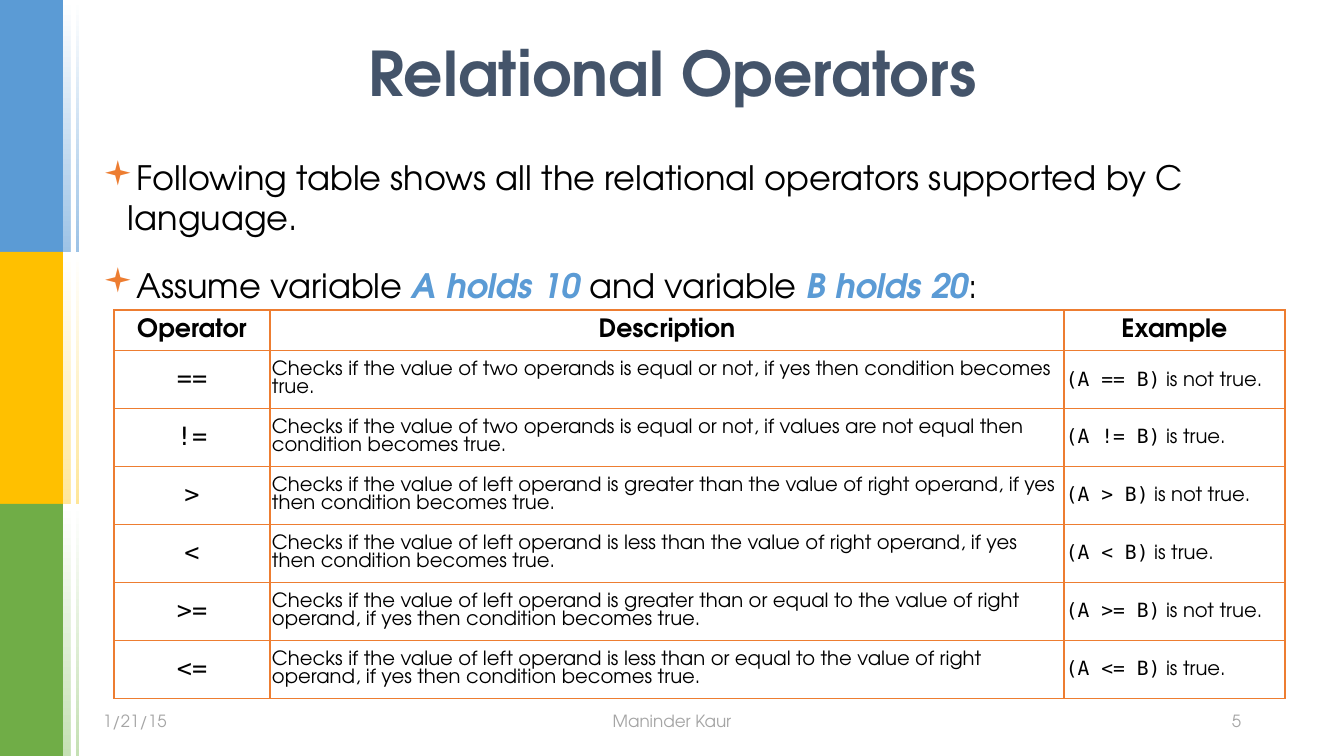
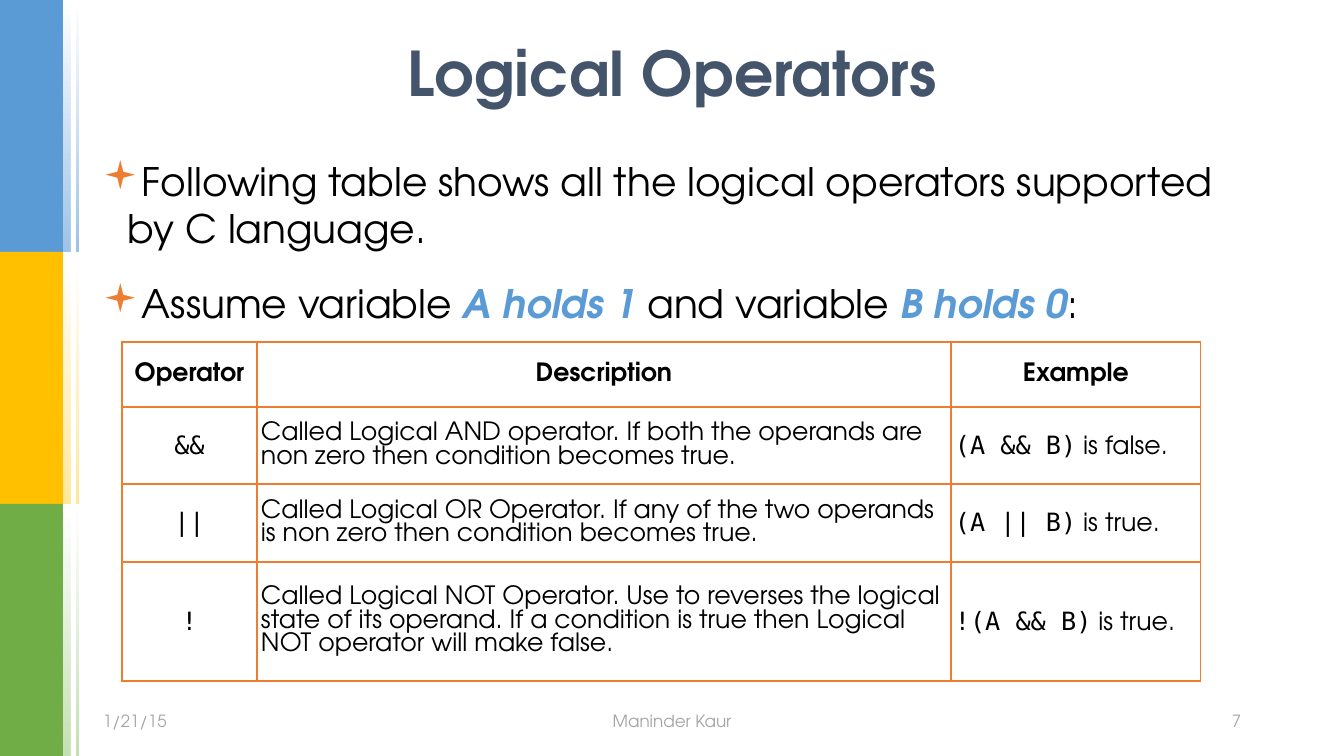
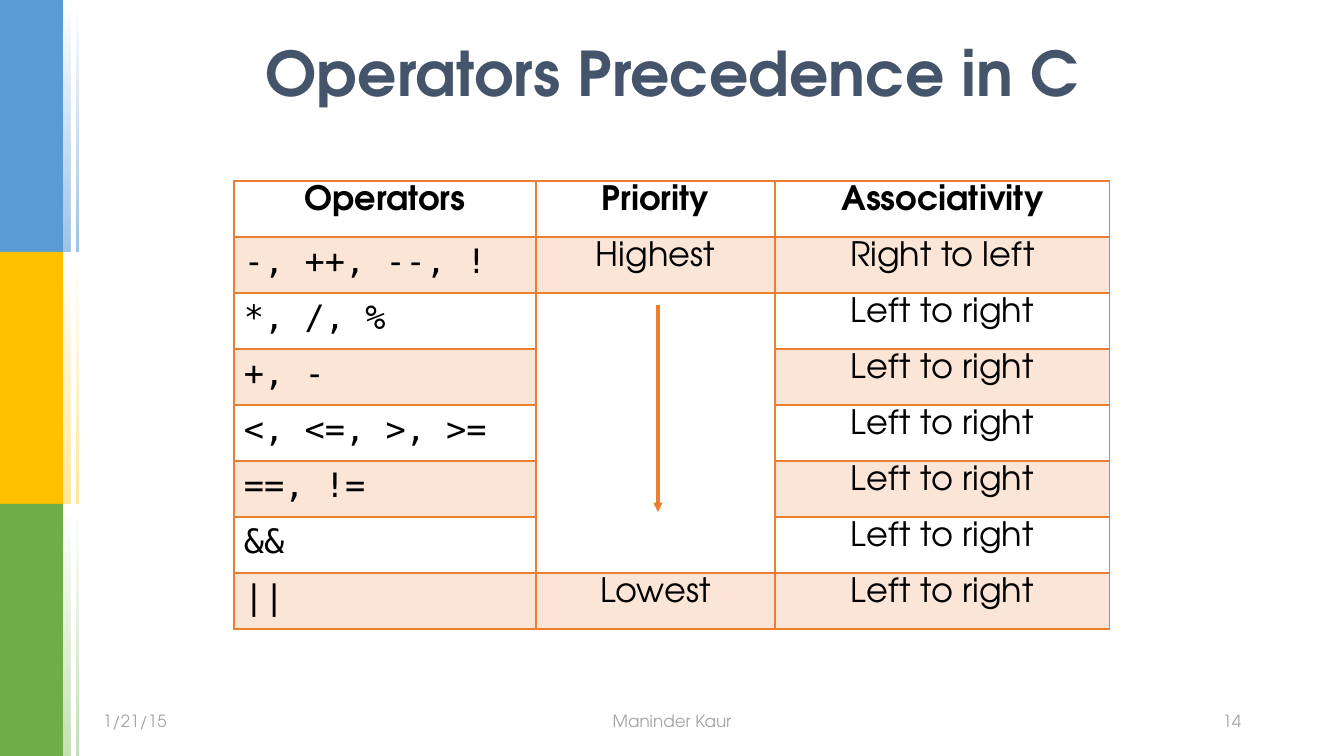
from lxml import etree
from pptx import Presentation
from pptx.dml.color import RGBColor
from pptx.enum.shapes import MSO_CONNECTOR, MSO_SHAPE
from pptx.enum.text import MSO_ANCHOR, PP_ALIGN
from pptx.oxml import parse_xml
from pptx.oxml.ns import nsdecls, qn
from pptx.util import Pt

LEFT, CENTER, RIGHT = PP_ALIGN.LEFT, PP_ALIGN.CENTER, PP_ALIGN.RIGHT
TOP, MIDDLE = MSO_ANCHOR.TOP, MSO_ANCHOR.MIDDLE
RECTANGLE, STRAIGHT = MSO_SHAPE.RECTANGLE, MSO_CONNECTOR.STRAIGHT

PX = 914400 / 100.8
SANS, MONO = "TeX Gyre Adventor", "DejaVu Sans Mono"
BLACK, WHITE, BLUE, ORANGE = "000000", "FFFFFF", "5B9BD5", "ED7D31"
SLATE, GRAY, PEACH = "44546A", "A5A5A5", "FBE5D6"
BANDS = [(BLUE, "9DC3E6"), ("FFC000", "FFE699"), ("70AD47", "C5E0B4")]
TITLE_BOX = (93, 17, 1159, 110)
BODY_BOX = (93, 152, 1159, 529)
STRONG = {"bold": True, "italic": True, "color": BLUE}

PAGES = [
    {
        "title": "Relational Operators", "number": "5",
        "body_size": 24, "space_before": 7.2,
        "body": [
            [("Following table shows all the relational operators supported by C language.", {})],
            [("Assume variable ", {}), ("A holds 10", STRONG), (" and variable ", {}),
             ("B holds 20", STRONG), (":", {})],
        ],
        "at": (114, 310), "columns": [156, 794, 221], "rows": [39] + [58] * 6,
        "kinds": ["code", "text", "example"], "aligns": [CENTER, LEFT, LEFT],
        "sizes": [18, 14, 14], "header_size": 18, "inset": 2, "anchor": MIDDLE,
        "cells": [
            ("Operator", "Description", "Example"),
            ("==", "Checks if the value of two operands is equal or not, if yes then condition becomes true.",
             "(A == B) is not true."),
            ("!=", "Checks if the value of two operands is equal or not, if values are not equal then condition becomes true.",
             "(A != B) is true."),
            (">", "Checks if the value of left operand is greater than the value of right operand, if yes then condition becomes true.",
             "(A > B) is not true."),
            ("<", "Checks if the value of left operand is less than the value of right operand, if yes then condition becomes true.",
             "(A < B) is true."),
            (">=", "Checks if the value of left operand is greater than or equal to the value of right operand, if yes then condition becomes true.",
             "(A >= B) is not true."),
            ("<=", "Checks if the value of left operand is less than or equal to the value of right operand, if yes then condition becomes true.",
             "(A <= B) is true."),
        ],
    },
    {
        "title": "Logical Operators", "number": "7",
        "body_size": 28, "space_before": 8.4,
        "body": [
            [("Following table shows all the logical operators supported by C language.", {})],
            [("Assume variable ", {}), ("A holds 1", STRONG), (" and variable ", {}),
             ("B holds 0", STRONG), (":", {})],
        ],
        "at": (122, 342), "columns": [135, 694, 250], "rows": [65, 77, 78, 119],
        "kinds": ["code", "text", "example"], "aligns": [CENTER, LEFT, LEFT],
        "sizes": [18, 18, 18], "header_size": 18, "inset": 4, "anchor": MIDDLE,
        "cells": [
            ("Operator", "Description", "Example"),
            ("&&", "Called Logical AND operator. If both the operands are non zero then condition becomes true.",
             "(A && B) is false."),
            ("||", "Called Logical OR Operator. If any of the two operands is non zero then condition becomes true.",
             "(A || B) is true."),
            ("!", "Called Logical NOT Operator. Use to reverses the logical state of its operand. If a condition is true then Logical NOT operator will make false.",
             "!(A && B) is true."),
        ],
    },
    {
        "title": "Operators Precedence in C", "number": "14", "body": [],
        "at": (234, 181), "columns": [302, 239, 335], "rows": [56] * 8,
        "kinds": ["code", "text", "text"], "aligns": [LEFT, CENTER, CENTER],
        "sizes": [24, 24, 24], "header_size": 24, "inset": 10, "anchor": TOP,
        "banded": True, "merge": ((2, 1), (6, 1)), "arrow": (658, 305, 658, 512),
        "cells": [
            ("Operators", "Priority", "Associativity"),
            ("-, ++, --, !", "Highest", "Right to left"),
            ("*, /, %", "", "Left to right"),
            ("+, -", "", "Left to right"),
            ("<, <=, >, >=", "", "Left to right"),
            ("==, !=", "", "Left to right"),
            ("&&", "", "Left to right"),
            ("||", "Lowest", "Left to right"),
        ],
    },
]


def rgb(code):
    return RGBColor.from_string(code)


def write(para, spans, size, align=LEFT):
    """Fill a paragraph with (text, format) spans."""
    para.alignment = align
    for text, changes in spans:
        span = para.add_run()
        span.text = text
        looks = {"name": SANS, "size": Pt(size), "bold": False, "italic": False,
                 "color": BLACK, **changes}
        span.font.color.rgb = rgb(looks.pop("color"))
        for name, value in looks.items():
            setattr(span.font, name, value)


deck = Presentation()
deck.slide_width, deck.slide_height = round(1344 * PX), round(756 * PX)

for content in PAGES:
    page = deck.slides.add_slide(deck.slide_layouts[5])
    shapes = page.shapes

    # Side bands: three solid, three fading, one white strip
    bars = []
    for index, (solid, pale) in enumerate(BANDS):
        bars.append((0, index * 252, 63, 252, solid, False))
        bars.append((63, index * 252, 16, 252, pale, True))
    bars.append((71, 0, 5, 756, WHITE, False))
    for *place, color, fades in bars:
        bar = shapes.add_shape(RECTANGLE, *[round(n * PX) for n in place])
        bar.shadow.inherit = False
        bar.line.fill.background()
        if fades:
            bar.fill.gradient()
            bar.fill.gradient_angle = 90
            for position, (stop, shade) in enumerate(zip(bar.fill.gradient_stops, (color, WHITE))):
                stop.color.rgb = rgb(shade)
                stop.position = position
        else:
            bar.fill.solid()
            bar.fill.fore_color.rgb = rgb(color)

    # Title
    title = shapes.title
    title.left, title.top, title.width, title.height = [round(n * PX) for n in TITLE_BOX]
    title.text_frame.word_wrap = True
    title.text_frame.vertical_anchor = MIDDLE
    write(title.text_frame.paragraphs[0], [(content["title"], {"bold": True, "color": SLATE})],
          44, CENTER)

    # Footer
    for left, width, text, align in [(93, 361, "1/21/15", LEFT), (512, 320, "Maninder Kaur", CENTER),
                                     (890, 361, content["number"], RIGHT)]:
        box = shapes.add_textbox(*[round(n * PX) for n in (left, 701, width, 40)])
        box.text_frame.word_wrap = True
        box.text_frame.vertical_anchor = MIDDLE
        write(box.text_frame.paragraphs[0], [(text, {"color": GRAY})], 12, align)

    # Bulleted introduction
    if content["body"]:
        frame = shapes.add_textbox(*[round(n * PX) for n in BODY_BOX]).text_frame
        frame.word_wrap = True
        for index, spans in enumerate(content["body"]):
            para = frame.add_paragraph() if index else frame.paragraphs[0]
            write(para, spans, content["body_size"])
            para.space_before, para.space_after = Pt(content["space_before"]), Pt(12)
            properties = para._p.get_or_add_pPr()
            properties.set("marL", str(round(25 * PX)))
            properties.set("indent", str(round(-25 * PX)))
            bullet_color = etree.SubElement(properties, qn("a:buClr"))
            etree.SubElement(bullet_color, qn("a:srgbClr"), val=ORANGE)
            etree.SubElement(properties, qn("a:buFont"), typeface="Wingdings", charset="2")
            etree.SubElement(properties, qn("a:buChar"), char="▪")

    # Table
    columns, rows = content["columns"], content["rows"]
    place = (*content["at"], sum(columns), sum(rows))
    table = shapes.add_table(len(rows), len(columns), *[round(n * PX) for n in place]).table
    table.first_row = table.horz_banding = False
    for column, width in zip(table.columns, columns):
        column.width = round(width * PX)
    for row, height in zip(table.rows, rows):
        row.height = round(height * PX)
    banded = content.get("banded", False)

    for r, texts in enumerate(content["cells"]):
        for c, text in enumerate(texts):
            cell = table.cell(r, c)
            cell.vertical_anchor = content["anchor"]
            cell.margin_left = cell.margin_right = round(content["inset"] * PX)
            cell.margin_top = cell.margin_bottom = round(5 * PX)

            # Borders, heavier under a banded table's header
            for side in "LRTB":
                heavy = banded and (r, side) in [(0, "B"), (1, "T")]
                cell._tc.get_or_add_tcPr().append(parse_xml(
                    f'<a:ln{side} {nsdecls("a")} w="{Pt(1.98 if heavy else 0.96)}"><a:solidFill>'
                    f'<a:srgbClr val="{ORANGE}"/></a:solidFill></a:ln{side}>'))
            if banded and r % 2 and text:
                cell.fill.solid()
                cell.fill.fore_color.rgb = rgb(PEACH)
            else:
                cell.fill.background()
            if not text:
                continue

            # Wording: bold header, code in mono, examples half and half
            kind, size, align = content["kinds"][c], content["sizes"][c], content["aligns"][c]
            spans = [(text, {})]
            if r == 0:
                spans, size, align = [(text, {"bold": True})], content["header_size"], CENTER
            elif kind == "code":
                spans = [(text, {"name": MONO})]
            elif kind == "example":
                code, bracket, result = text.partition(")")
                spans = [(code + bracket, {"name": MONO}), (result, {})]
            write(cell.text_frame.paragraphs[0], spans, size, align)

    if "merge" in content:
        first, last = content["merge"]
        table.cell(*first).merge(table.cell(*last))

    # Arrow from highest to lowest priority
    if "arrow" in content:
        arrow = shapes.add_connector(STRAIGHT, *[round(n * PX) for n in content["arrow"]])
        arrow.line.color.rgb = rgb(ORANGE)
        arrow.line.width = Pt(2.25)
        etree.SubElement(arrow.line._get_or_add_ln(), qn("a:tailEnd"), type="triangle")
        etree.SubElement(arrow._element.spPr, qn("a:effectLst"))

deck.save("out.pptx")
